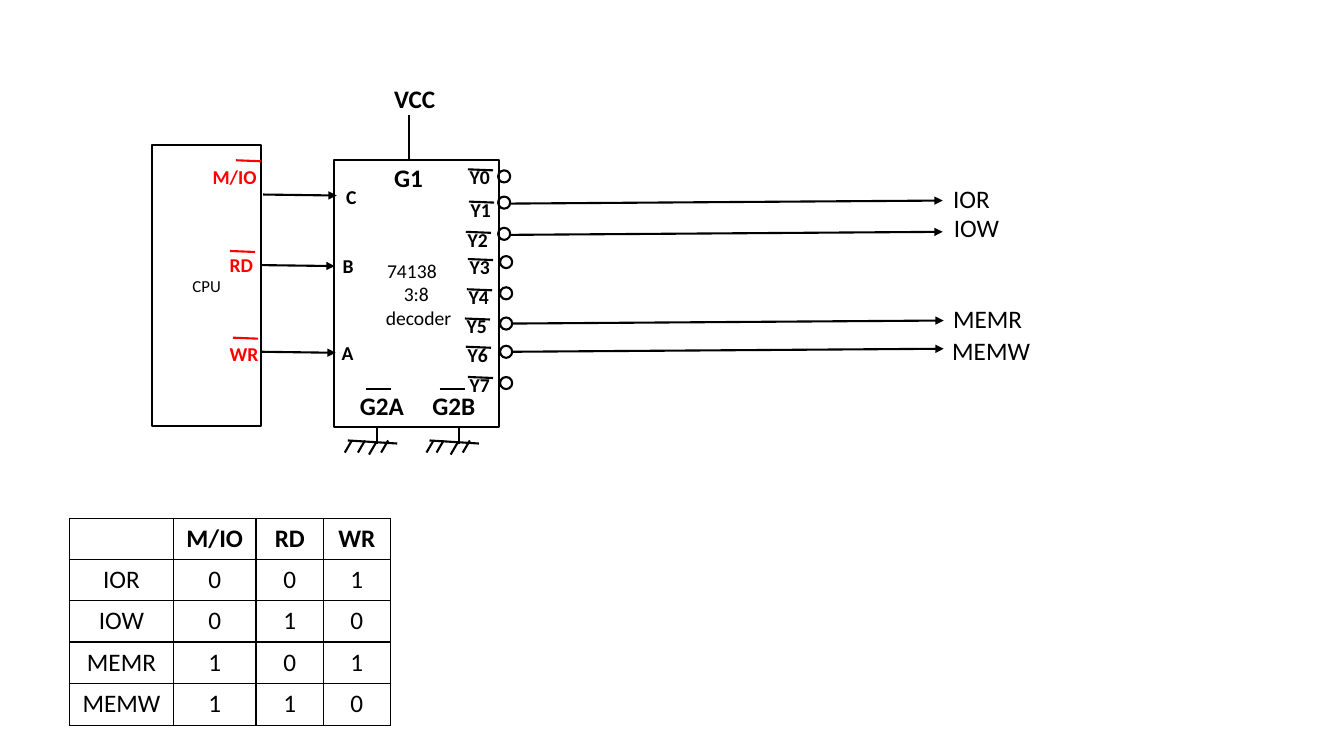
from dataclasses import dataclass
from lxml import etree
from pptx import Presentation
from pptx import util as u
from pptx.dml.color import RGBColor
from pptx.enum import shapes, text
from pptx.oxml import ns


@dataclass(frozen=True)
class Theme:
    font: str = "Calibri"
    ink: RGBColor = RGBColor(0, 0, 0)
    signal: RGBColor = RGBColor(255, 0, 0)
    small: int = 12
    pin: int = 14
    large: int = 18
    stroke: float = 1.5


theme = Theme()
deck = Presentation()
deck.slide_width, deck.slide_height = u.Inches(13.33), u.Inches(7.5)
page = deck.slides.add_slide(deck.slide_layouts[6])


def write(words, at=None, box=None, size=theme.pin, color=theme.ink, bold=False, center=False, wrap=True):
    if box is None:
        box = page.shapes.add_textbox(*[u.Inches(value) for value in at])
    frame = box.text_frame
    frame.word_wrap = wrap
    for index, line in enumerate(words.split("\n")):
        para = frame.add_paragraph() if index else frame.paragraphs[0]
        para.alignment = text.PP_ALIGN.CENTER if center else text.PP_ALIGN.LEFT
        span = para.add_run()
        span.text = line
        span.font.name = theme.font
        span.font.size = u.Pt(size)
        span.font.bold = bold
        span.font.color.rgb = color


def connect(x1, y1, x2, y2, color=theme.ink, arrow=False):
    ends = [u.Inches(value) for value in (x1, y1, x2, y2)]
    wire = page.shapes.add_connector(shapes.MSO_CONNECTOR.STRAIGHT, *ends)
    wire.line.color.rgb = color
    wire.line.width = u.Pt(theme.stroke)
    if arrow:
        outline = wire.line._get_or_add_ln()
        etree.SubElement(outline, ns.qn("a:tailEnd"), type="triangle")
    etree.SubElement(wire._element.spPr, ns.qn("a:effectLst"))


rectangle, ellipse = shapes.MSO_SHAPE.RECTANGLE, shapes.MSO_SHAPE.OVAL
bubbles = [(4.94, 1.69), (4.94, 1.95), (4.94, 2.26), (4.96, 2.54),
           (4.96, 2.85), (4.96, 3.15), (4.96, 3.43), (4.96, 3.74)]
outlines = [
    (rectangle, (1.51, 1.44, 1.08, 2.79), "CPU", theme.small),
    (rectangle, (3.31, 1.59, 1.64, 2.65), "74138  \n3:8\n decoder", theme.pin),
] + [(ellipse, (left, top, 0.12, 0.12), "", theme.pin) for left, top in bubbles]
for kind, at, words, size in outlines:
    box = page.shapes.add_shape(kind, *[u.Inches(value) for value in at])
    box.shadow.inherit = False
    box.fill.background()
    box.line.color.rgb = theme.ink
    box.line.width = u.Pt(theme.stroke)
    if words:
        box.text_frame.vertical_anchor = text.MSO_ANCHOR.MIDDLE
        write(words, box=box, size=size, center=True)

for words, left, top, bar_left, bar_top in [
    ("M/IO", 2.01, 1.59, 2.34, 1.59),
    ("RD", 2.18, 2.46, 2.28, 2.49),
    ("WR", 2.18, 3.34, 2.31, 3.35),
]:
    write(words, (left, top, 0.65, 0.34), color=theme.signal, bold=True)
    connect(bar_left, bar_top, bar_left + 0.25, bar_top + 0.01, color=theme.signal)

for words, left, top, wire_left, wire_top in [
    (" C", 3.29, 1.79, 2.61, 1.93),
    ("B", 3.3, 2.47, 2.59, 2.63),
    ("A", 3.29, 3.33, 2.6, 3.49),
]:
    write(words, (left, top, 0.65, 0.34), bold=True)
    connect(wire_left, wire_top, wire_left + 0.73, wire_top + 0.01, arrow=True)

pins = [(4.56, 1.59), (4.57, 1.91), (4.54, 2.21), (4.56, 2.48),
        (4.55, 2.78), (4.53, 3.07), (4.54, 3.35), (4.56, 3.65)]
for number, (left, top) in enumerate(pins):
    write(f"Y{number}", (left, top, 0.65, 0.34), bold=True)
    connect(left + 0.08, top + 0.09, left + 0.33, top + 0.1)

for words, left, top, width, wire_left, wire_top in [
    ("IOR", 9.35, 1.77, 0.57, 5.07, 2.02),
    ("IOW", 9.36, 2.06, 0.65, 5.07, 2.33),
    ("MEMR", 9.35, 2.96, 0.89, 5.08, 3.21),
    ("MEMW", 9.34, 3.28, 0.98, 5.08, 3.49),
]:
    write(words, (left, top, width, 0.4), size=theme.large, center=True, wrap=False)
    connect(wire_left, wire_top, wire_left + 4.28, wire_top - 0.03, arrow=True)

for words, left, top, width in [
    ("G1", 3.81, 1.56, 0.49),
    ("VCC", 3.81, 0.78, 1.15),
    ("G2A", 3.47, 3.82, 0.73),
    ("G2B", 4.19, 3.82, 0.73),
]:
    write(words, (left, top, width, 0.4), size=theme.large, bold=True)
connect(4.06, 1.59, 4.06, 1.14)

for bar_left, ground_left, second_tick in [(3.63, 3.42, 0.13), (4.36, 4.23, 0.1)]:
    connect(bar_left, 3.86, bar_left + 0.25, 3.86)
    connect(ground_left + 0.03, 4.37, ground_left + 0.52, 4.4)
    connect(ground_left + 0.32, 4.4, ground_left + 0.32, 4.24)
    for offset, bottom in [(0, 4.49), (second_tick, 4.49), (0.24, 4.51), (0.36, 4.49)]:
        connect(ground_left + offset, bottom, ground_left + offset + 0.07, bottom - 0.12)

rows = [
    ("", "M/IO", "RD", "WR"),
    ("IOR", "0", "0", "1"),
    ("IOW", "0", "1", "0"),
    ("MEMR", "1", "0", "1"),
    ("MEMW", "1", "1", "0"),
]
area = [u.Inches(value) for value in (0.69, 5.14, 3.18, 2.06)]
table = page.shapes.add_table(len(rows), len(rows[0]), *area).table
table.first_row = table.horz_banding = False
for column, width in zip(table.columns, (1.03, 0.82, 0.67, 0.66)):
    column.width = u.Inches(width)
for row, height in zip(table.rows, (0.41, 0.41, 0.41, 0.41, 0.42)):
    row.height = u.Inches(height)
for row_index, row in enumerate(rows):
    for column_index, words in enumerate(row):
        cell = table.cell(row_index, column_index)
        cell.fill.background()
        if words:
            write(words, box=cell, size=theme.large, bold=row_index == 0, center=True)
        properties = cell._tc.get_or_add_tcPr()
        for position, side in enumerate(("lnL", "lnR", "lnT", "lnB")):
            border = etree.Element(ns.qn(f"a:{side}"), w=str(u.Pt(1)))
            fill = etree.SubElement(border, ns.qn("a:solidFill"))
            etree.SubElement(fill, ns.qn("a:srgbClr"), val=str(theme.ink))
            properties.insert(position, border)

deck.save("out.pptx")
